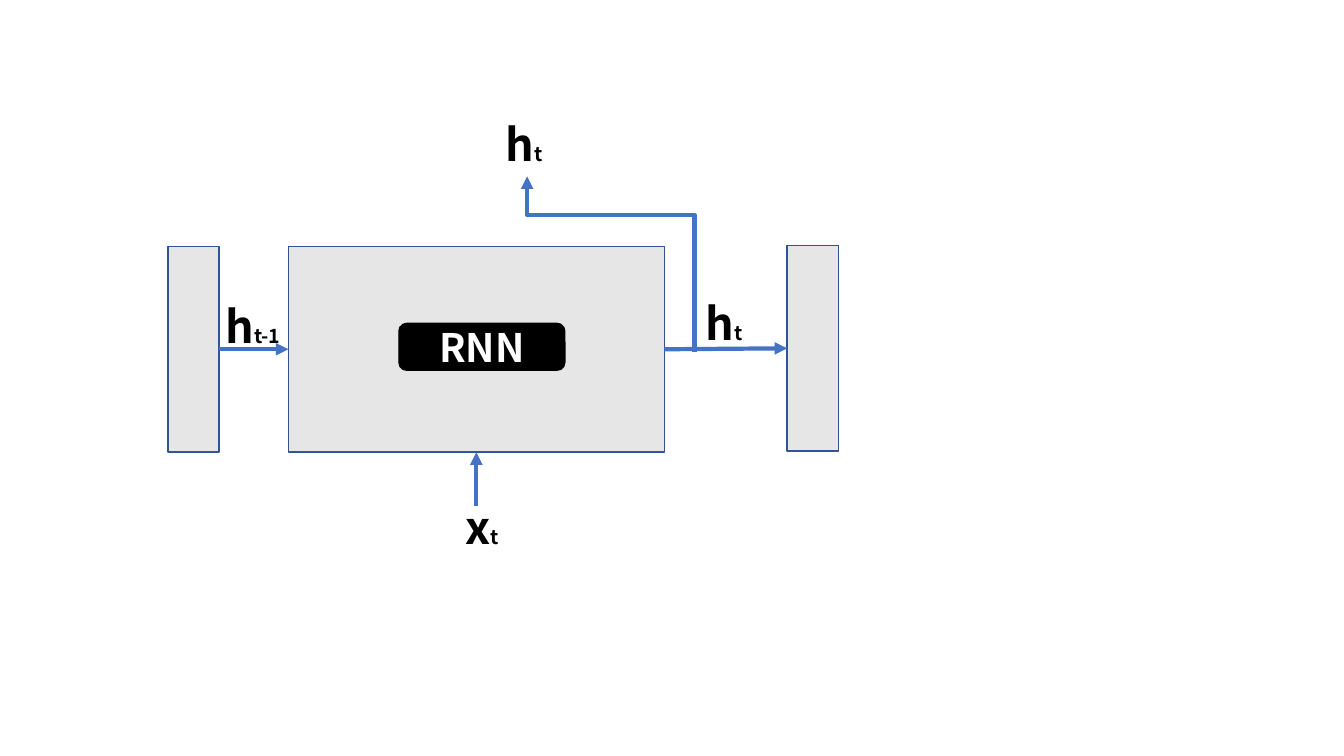
from lxml.etree import SubElement
from pptx import Presentation
from pptx.dml.color import RGBColor
from pptx.enum.shapes import MSO_CONNECTOR, MSO_SHAPE
from pptx.enum.text import MSO_ANCHOR, MSO_AUTO_SIZE, PP_ALIGN
from pptx.oxml.ns import qn
from pptx.util import Pt

COLORS = {
    "panel": "E7E6E6",
    "outline": "325491",
    "arrow": "4472C4",
    "black": "000000",
    "white": "FFFFFF",
}
FONT = "Noto Sans CJK KR"
LEFT, RIGHT, BOTTOM = 1, 3, 2


def color(name):
    return RGBColor.from_string(COLORS[name])


def add_text(paragraph, text, size=32, fill="black", bold=True):
    run = paragraph.add_run()
    run.text = text
    font = run.font
    font.name, font.size, font.bold = FONT, Pt(size), bold
    font.color.rgb = color(fill)


class Diagram:
    def __init__(self, slide):
        self.shapes = slide.shapes

    def box(self, left, top, width, height, kind=MSO_SHAPE.RECTANGLE,
            fill="panel", outline="outline"):
        shape = self.shapes.add_shape(kind, Pt(left), Pt(top), Pt(width), Pt(height))
        shape.shadow.inherit = False
        shape.fill.solid()
        shape.fill.fore_color.rgb = color(fill)
        shape.line.color.rgb = color(outline)
        shape.line.width = Pt(1)
        return shape

    def badge(self, text, left, top, width, height):
        shape = self.box(left, top, width, height, MSO_SHAPE.ROUNDED_RECTANGLE,
                         "black", "black")
        frame = shape.text_frame
        frame.vertical_anchor = MSO_ANCHOR.MIDDLE
        paragraph = frame.paragraphs[0]
        paragraph.alignment = PP_ALIGN.CENTER
        add_text(paragraph, text, size=28, fill="white")

    def label(self, symbol, index, left, top, width):
        """Write a symbol followed by its small index."""
        text_box = self.shapes.add_textbox(Pt(left), Pt(top), Pt(width), Pt(46))
        frame = text_box.text_frame
        frame.word_wrap = True
        frame.auto_size = MSO_AUTO_SIZE.SHAPE_TO_FIT_TEXT
        paragraph = frame.paragraphs[0]
        add_text(paragraph, symbol)
        add_text(paragraph, index, size=14)

    def arrow(self, start, end, kind=MSO_CONNECTOR.STRAIGHT):
        connector = self.shapes.add_connector(kind, *map(Pt, start + end))
        connector.line.color.rgb = color("arrow")
        connector.line.width = Pt(3)
        SubElement(connector.line._get_or_add_ln(), qn("a:tailEnd"), type="triangle")
        SubElement(connector._element.spPr, qn("a:effectLst"))
        return connector

    def upward_elbow(self, start, end, bend):
        """Go up, left, then up again; bend is the share of the rise before the turn."""
        center_x, center_y = (start[0] + end[0]) / 2, (start[1] + end[1]) / 2
        half_rise, half_run = (start[1] - end[1]) / 2, (start[0] - end[0]) / 2
        connector = self.arrow((center_x - half_rise, center_y + half_run),
                               (center_x + half_rise, center_y - half_run),
                               MSO_CONNECTOR.ELBOW)
        properties = connector._element.spPr
        properties.find(qn("a:xfrm")).set("rot", str(270 * 60000))
        adjustments = properties.find(qn("a:prstGeom")).find(qn("a:avLst"))
        SubElement(adjustments, qn("a:gd"), name="adj1", fmla=f"val {round(bend * 100000)}")


def main():
    presentation = Presentation()
    presentation.slide_width, presentation.slide_height = Pt(960), Pt(540)
    slide = presentation.slides.add_slide(presentation.slide_layouts[6])
    diagram = Diagram(slide)

    top, height, bar_width = 176, 147, 36.5
    middle = top + height / 2
    cell = diagram.box(206, top, 268.5, height)
    diagram.badge("RNN", 285, 231, 118.5, 33.5)
    previous_state = diagram.box(120, top, bar_width, height)
    next_state = diagram.box(562.3, top - 0.7, bar_width, height)

    state_in = diagram.arrow((156.5, middle), (206, middle))
    state_in.begin_connect(previous_state, RIGHT)
    state_in.end_connect(cell, LEFT)
    input_arrow = diagram.arrow((340.25, 361.5), (340.25, top + height))
    input_arrow.end_connect(cell, BOTTOM)
    state_out = diagram.arrow((474.5, middle), (562.3, middle - 0.7))
    state_out.begin_connect(cell, RIGHT)
    state_out.end_connect(next_state, LEFT)
    diagram.upward_elbow((496, 251.3), (376.5, 126), bend=0.78)

    for symbol, index, left, label_top, width in (
        ("h", "t-1", 154, 209.5, 65),
        ("x", "t", 325.5, 353.5, 60.5),
        ("h", "t", 497, 208, 65),
        ("h", "t", 354, 80, 45.5),
    ):
        diagram.label(symbol, index, left, label_top, width)

    presentation.save("out.pptx")


if __name__ == "__main__":
    main()
